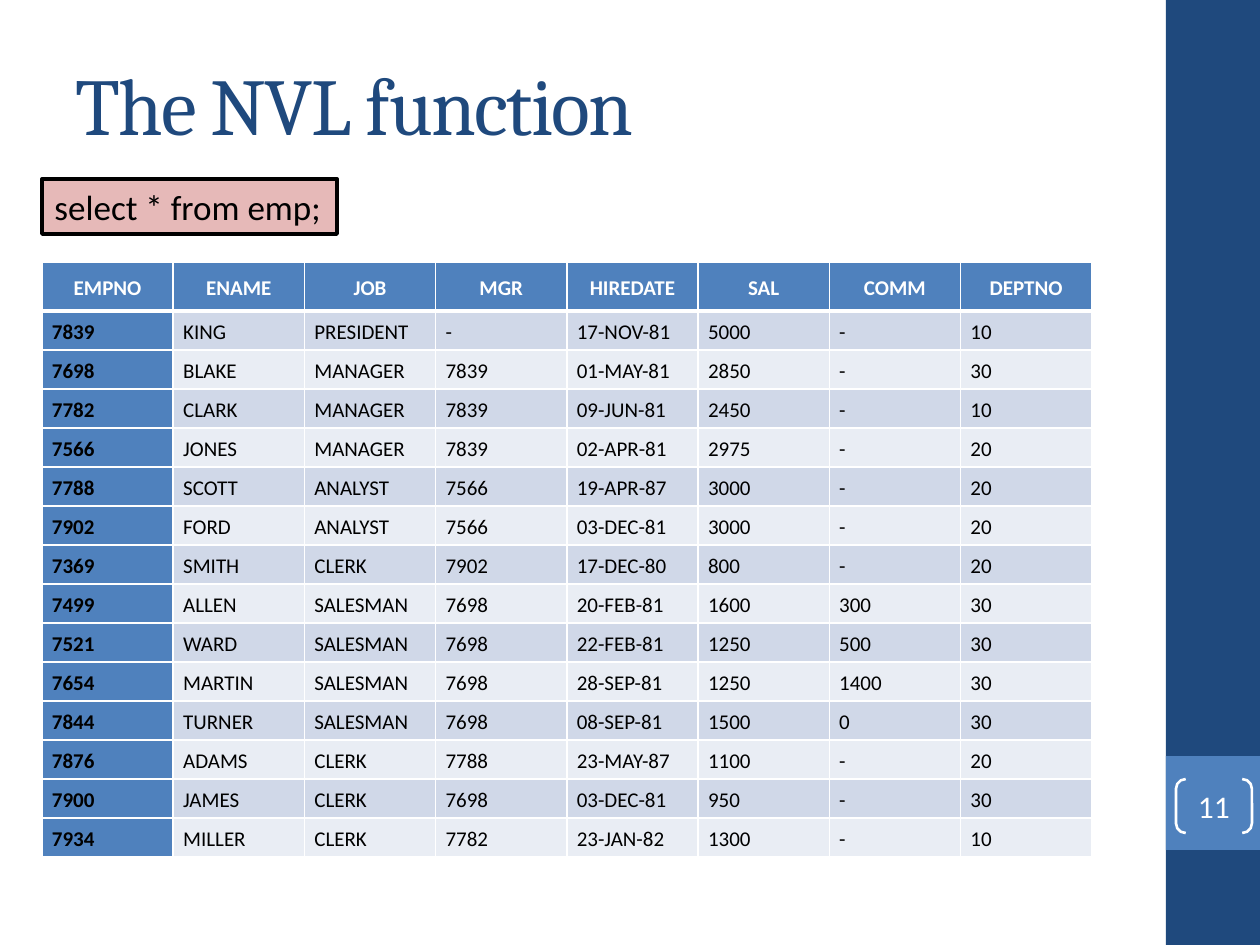
from dataclasses import dataclass

from lxml import etree
from pptx import Presentation
from pptx.dml.color import RGBColor
from pptx.enum import shapes, text
from pptx.oxml.ns import qn
from pptx import util as u

EMU_PER_PX = 914400 / 126

NAVY = RGBColor(0x1F, 0x49, 0x7D)
BLUE = RGBColor(0x4F, 0x81, 0xBD)
PINK = RGBColor(0xE6, 0xB9, 0xB8)
BAND_DARK = RGBColor(0xD0, 0xD8, 0xE8)
BAND_LIGHT = RGBColor(0xE9, 0xED, 0xF4)
WHITE = RGBColor(0xFF, 0xFF, 0xFF)
BLACK = RGBColor(0, 0, 0)

LEFT, CENTER = text.PP_ALIGN.LEFT, text.PP_ALIGN.CENTER
TOP, MIDDLE, BOTTOM = (text.MSO_ANCHOR.TOP, text.MSO_ANCHOR.MIDDLE,
                       text.MSO_ANCHOR.BOTTOM)

HEADINGS = "EMPNO ENAME JOB MGR HIREDATE SAL COMM DEPTNO".split()
EMPLOYEES = [line.split() for line in """\
7839 KING PRESIDENT - 17-NOV-81 5000 - 10
7698 BLAKE MANAGER 7839 01-MAY-81 2850 - 30
7782 CLARK MANAGER 7839 09-JUN-81 2450 - 10
7566 JONES MANAGER 7839 02-APR-81 2975 - 20
7788 SCOTT ANALYST 7566 19-APR-87 3000 - 20
7902 FORD ANALYST 7566 03-DEC-81 3000 - 20
7369 SMITH CLERK 7902 17-DEC-80 800 - 20
7499 ALLEN SALESMAN 7698 20-FEB-81 1600 300 30
7521 WARD SALESMAN 7698 22-FEB-81 1250 500 30
7654 MARTIN SALESMAN 7698 28-SEP-81 1250 1400 30
7844 TURNER SALESMAN 7698 08-SEP-81 1500 0 30
7876 ADAMS CLERK 7788 23-MAY-87 1100 - 20
7900 JAMES CLERK 7698 03-DEC-81 950 - 30
7934 MILLER CLERK 7782 23-JAN-82 1300 - 10""".splitlines()]


@dataclass(frozen=True)
class Box:
    left: int
    top: int
    width: int
    height: int

    def emu(self) -> list[u.Emu]:
        return [px(n) for n in (self.left, self.top, self.width, self.height)]


@dataclass(frozen=True)
class TextStyle:
    size: int
    color: RGBColor
    font: str = "Calibri"
    bold: bool = False
    align: text.PP_ALIGN = LEFT
    line_spacing: float = 1.0


@dataclass(frozen=True)
class Panel:
    box: Box
    preset: shapes.MSO_SHAPE = shapes.MSO_SHAPE.RECTANGLE
    fill: RGBColor | None = None
    line: RGBColor | None = None
    line_width: float = 0


SIDEBAR = Panel(Box(1166, 0, 94, 945), fill=NAVY)
NUMBER_BAND = Panel(Box(1166, 756, 94, 94), fill=BLUE)
NUMBER_BRACKETS = Panel(Box(1176, 779, 76, 54), shapes.MSO_SHAPE.DOUBLE_BRACKET,
                        line=WHITE, line_width=1.5)
QUERY_BOX = Panel(Box(42, 179, 295, 55), fill=PINK, line=BLACK, line_width=2.25)
TITLE_BOX = Box(63, 38, 1050, 130)
TABLE_BOX = Box(42, 262, 1050, 602)
HEADER_HEIGHT, ROW_HEIGHT = 49, 39


def px(length: int) -> u.Emu:
    return u.Emu(round(length * EMU_PER_PX))


def apply(target, values: dict) -> None:
    for name, value in values.items():
        setattr(target, name, value)


def write(frame, words: str, style: TextStyle):
    paragraph = frame.paragraphs[0]
    apply(paragraph, {"alignment": style.align, "line_spacing": style.line_spacing})
    run = paragraph.add_run()
    run.text = words
    apply(run.font, {"name": style.font, "size": u.Pt(style.size), "bold": style.bold})
    run.font.color.rgb = style.color
    return run


def draw_panel(slide, panel: Panel):
    shape = slide.shapes.add_shape(panel.preset, *panel.box.emu())
    shape.shadow.inherit = False
    if panel.fill is None:
        shape.fill.background()
    else:
        shape.fill.solid()
        shape.fill.fore_color.rgb = panel.fill
    if panel.line is None:
        shape.line.fill.background()
    else:
        shape.line.color.rgb = panel.line
        shape.line.width = u.Pt(panel.line_width)
    return shape


def draw_title(slide) -> None:
    frame = slide.shapes.add_textbox(*TITLE_BOX.emu()).text_frame
    apply(frame, {"word_wrap": True, "vertical_anchor": MIDDLE})
    run = write(frame, "The NVL function", TextStyle(46, NAVY, "Cambria"))
    run.font._element.set("spc", "-100")


def draw_query(slide) -> None:
    frame = draw_panel(slide, QUERY_BOX).text_frame
    apply(frame, {"word_wrap": False, "vertical_anchor": TOP,
                  "auto_size": text.MSO_AUTO_SIZE.SHAPE_TO_FIT_TEXT})
    write(frame, "select * from emp;", TextStyle(20, BLACK))


def draw_slide_number(slide) -> None:
    shape = draw_panel(slide, NUMBER_BRACKETS)
    shape.adjustments[0] = 0.18
    frame = shape.text_frame
    apply(frame, {"margin_left": 0, "margin_top": 0, "margin_right": 0,
                  "margin_bottom": 0, "vertical_anchor": MIDDLE})
    write(frame, "11", TextStyle(18, WHITE, align=CENTER))


def add_borders(cell, top: int = 1, bottom: int = 1) -> None:
    """Give the cell white borders; call before its fill, which must follow them."""
    properties = cell._tc.get_or_add_tcPr()
    for side, points in (("L", 1), ("R", 1), ("T", top), ("B", bottom)):
        line = etree.SubElement(properties, qn(f"a:ln{side}"), w=str(u.Pt(points)))
        fill = etree.SubElement(line, qn("a:solidFill"))
        etree.SubElement(fill, qn("a:srgbClr"), val=str(WHITE))


def fill_cell(cell, words: str, style: TextStyle, fill: RGBColor,
              anchor: text.MSO_ANCHOR, margin: int) -> None:
    apply(cell, {"margin_left": px(10), "margin_right": px(10),
                 "margin_top": px(margin), "margin_bottom": px(margin),
                 "vertical_anchor": anchor})
    cell.fill.solid()
    cell.fill.fore_color.rgb = fill
    write(cell.text_frame, words, style)


def draw_employee_table(slide) -> None:
    table = slide.shapes.add_table(
        len(EMPLOYEES) + 1, len(HEADINGS), *TABLE_BOX.emu()).table
    apply(table, {"first_row": True, "first_col": True, "horz_banding": False})
    for column in table.columns:
        column.width = px(TABLE_BOX.width) // len(HEADINGS)
    for index, row in enumerate(table.rows):
        row.height = px(ROW_HEIGHT if index else HEADER_HEIGHT)

    heading_style = TextStyle(12, WHITE, bold=True, align=CENTER, line_spacing=1.15)
    for column, heading in enumerate(HEADINGS):
        cell = table.cell(0, column)
        add_borders(cell, bottom=3)
        fill_cell(cell, heading, heading_style, BLUE, BOTTOM, 10)

    for row, employee in enumerate(EMPLOYEES, start=1):
        band = BAND_DARK if row % 2 else BAND_LIGHT
        for column, value in enumerate(employee):
            is_key = column == 0
            cell = table.cell(row, column)
            add_borders(cell, top=3 if row == 1 else 1)
            style = TextStyle(12, BLACK, bold=is_key, line_spacing=1.15)
            fill_cell(cell, value, style, BLUE if is_key else band, MIDDLE, 5)


def main() -> None:
    presentation = Presentation()
    presentation.slide_width, presentation.slide_height = px(1260), px(945)
    slide = presentation.slides.add_slide(presentation.slide_layouts[6])
    draw_panel(slide, SIDEBAR)
    draw_panel(slide, NUMBER_BAND)
    draw_slide_number(slide)
    draw_title(slide)
    draw_query(slide)
    draw_employee_table(slide)
    presentation.save("out.pptx")


if __name__ == "__main__":
    main()
